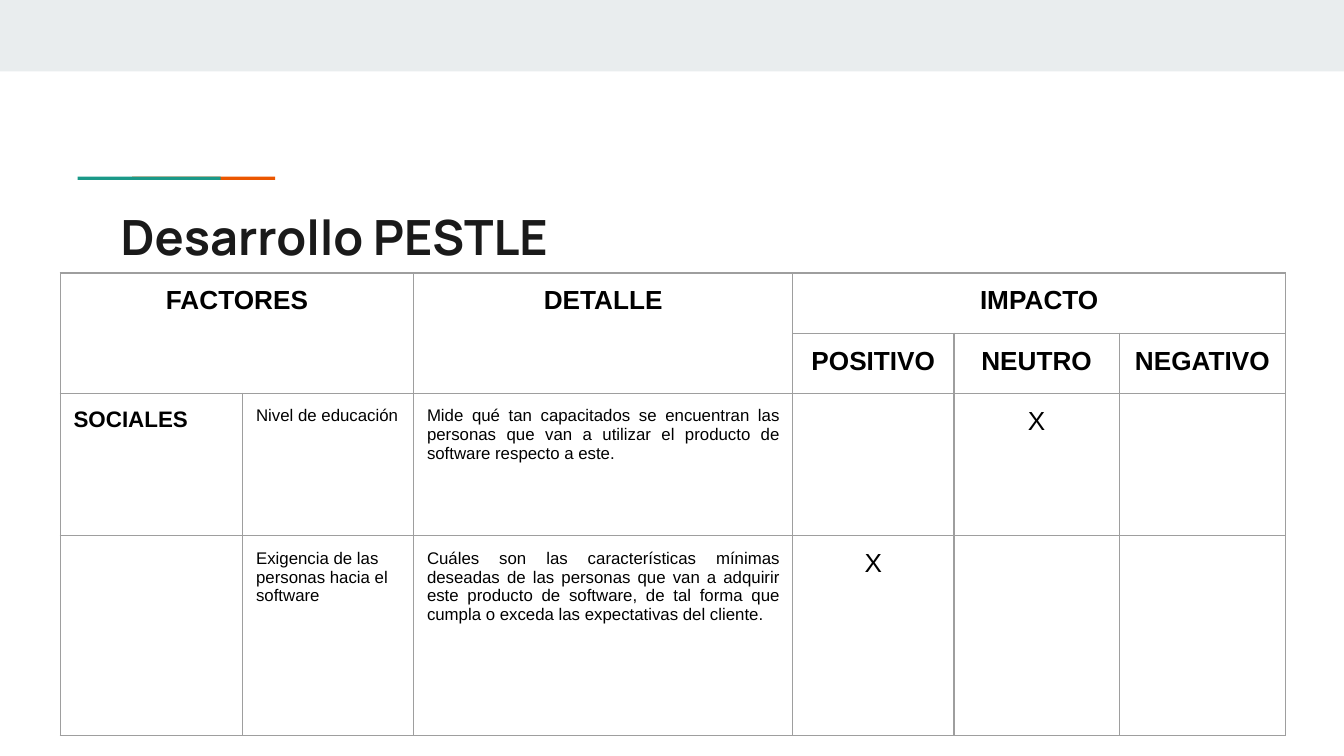
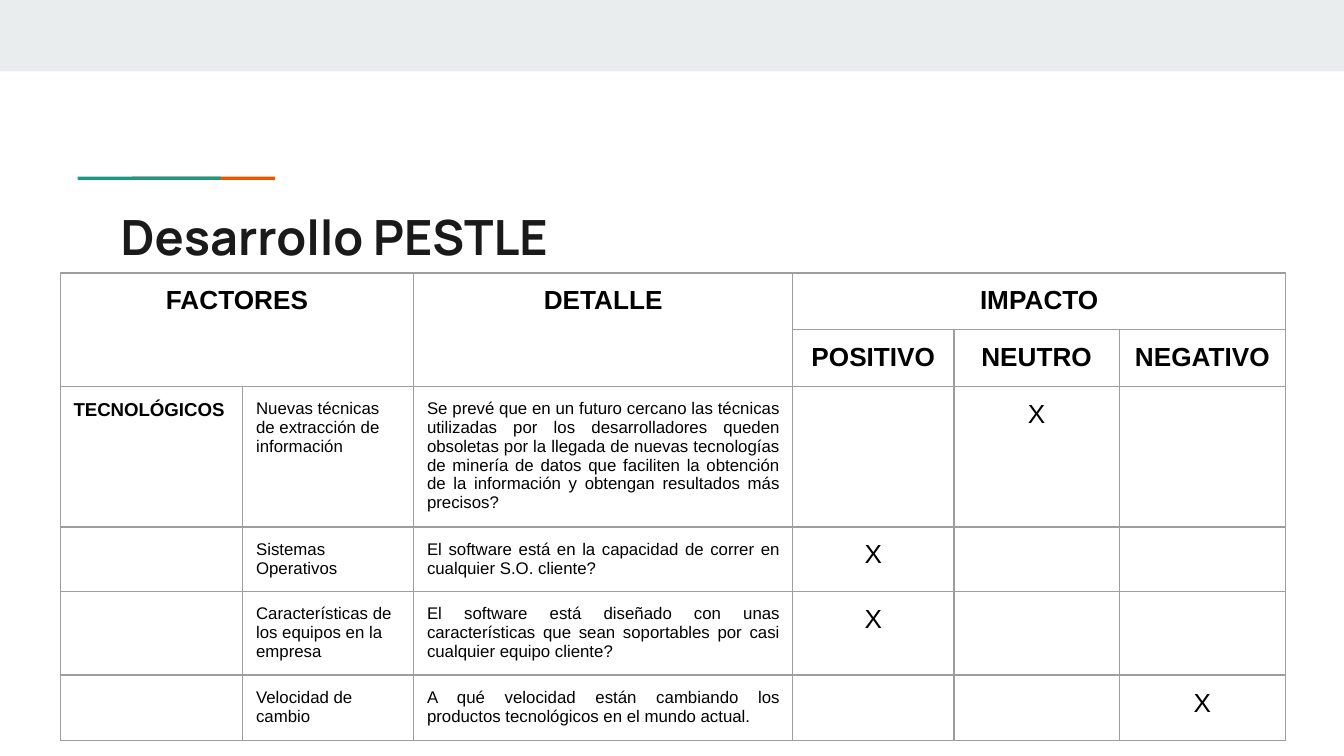
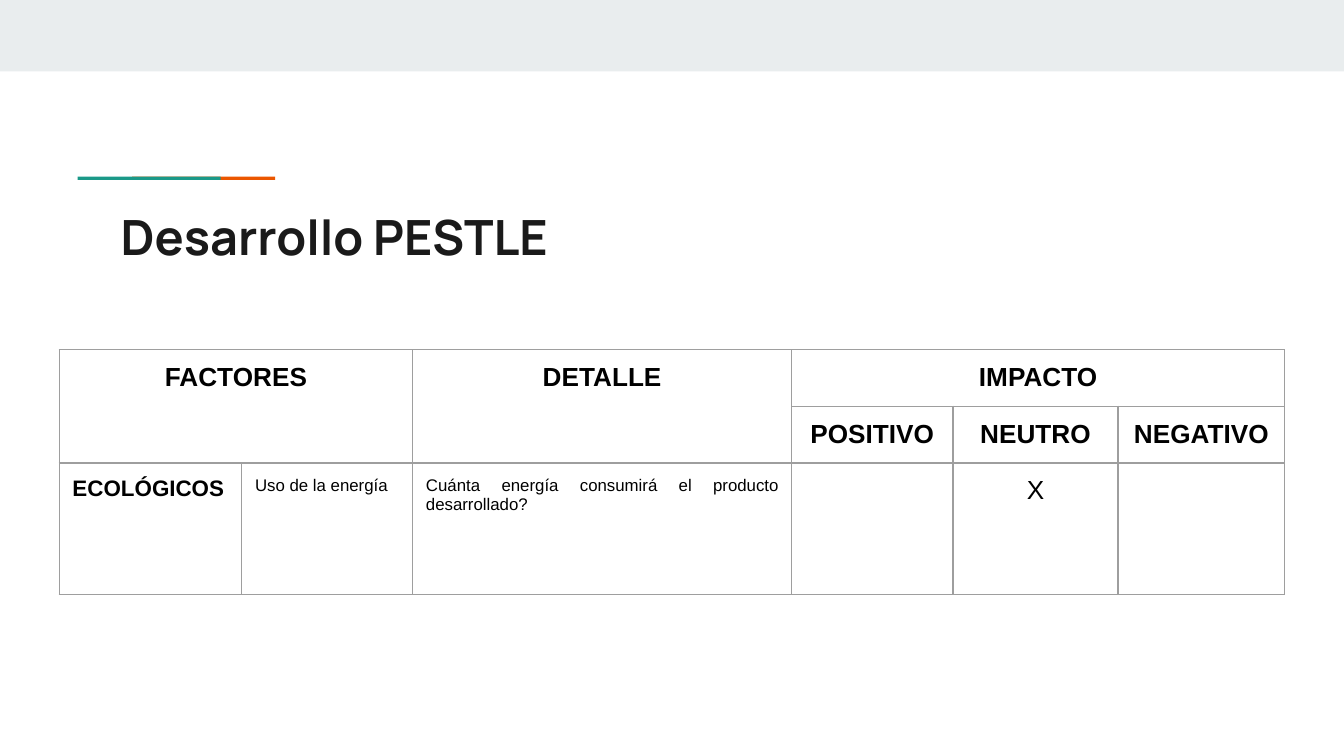
from lxml import etree
from pptx import Presentation
from pptx import util as u
from pptx.dml.color import RGBColor
from pptx.enum import shapes, text
from pptx.oxml.ns import qn

COLORS = {"band": "E9EDEE", "orange": "EB5600", "teal": "1A9988",
          "title": "1A1A1A", "text": "000000", "border": "9E9E9E"}
LEFT, CENTER, JUSTIFY = text.PP_ALIGN.LEFT, text.PP_ALIGN.CENTER, text.PP_ALIGN.JUSTIFY
INSET = u.Cm(0.25)

# Left, top, width, height and colour of the bars on every slide, in cm
BARS = [(0, 0, 25.4, 1.35, "band"),
        (2.5, 3.34, 2.7, 0.06, "orange"),
        (1.47, 3.34, 2.7, 0.06, "teal")]

COLS = [3.45, 3.23, 7.16, 3.05, 3.12, 3.15]

# Row, column, last row, last column and text of the header cells
HEADER = [(0, 0, 1, 1, "FACTORES"), (0, 2, 1, 2, "DETALLE"), (0, 3, 0, 5, "IMPACTO"),
          (1, 3, 1, 3, "POSITIVO"), (1, 4, 1, 4, "NEUTRO"), (1, 5, 1, 5, "NEGATIVO")]
POSITIVO, NEUTRO, NEGATIVO = 3, 4, 5

# One entry per slide; each factor gives its name, detail and impact column
SLIDES = [
    {"group": "SOCIALES", "size": 12, "at": (1.14, 5.16), "rows": [1.14, 1.14, 2.69, 3.78],
     "factors": [
         ("Nivel de educación",
          "Mide qué tan capacitados se encuentran las personas que van a utilizar "
          "el producto de software respecto a este.", NEUTRO),
         ("Exigencia de las personas hacia el software",
          "Cuáles son las características mínimas deseadas de las personas que van a "
          "adquirir este producto de software, de tal forma que cumpla o exceda las "
          "expectativas del cliente.", POSITIVO)]},
    {"group": "TECNOLÓGICOS", "size": 10, "at": (1.14, 5.16),
     "rows": [1.07, 1.07, 2.66, 1.22, 1.58, 1.24],
     "factors": [
         ("Nuevas técnicas de extracción de información",
          "Se prevé que en un futuro cercano las técnicas utilizadas por los "
          "desarrolladores queden obsoletas por la llegada de nuevas tecnologías de "
          "minería de datos que faciliten la obtención de la información y obtengan "
          "resultados más precisos?", NEUTRO),
         ("Sistemas Operativos",
          "El software está en la capacidad de correr en cualquier S.O. cliente?", POSITIVO),
         ("Características de los equipos en la empresa",
          "El software está diseñado con unas características que sean soportables "
          "por casi cualquier equipo cliente?", POSITIVO),
         ("Velocidad de cambio",
          "A qué velocidad están cambiando los productos tecnológicos en el mundo "
          "actual.", NEGATIVO)]},
    {"group": "ECOLÓGICOS", "size": 12, "at": (1.12, 6.61), "rows": [1.07, 1.07, 2.49],
     "factors": [
         ("Uso de la energía", "Cuánta energía consumirá el producto desarrollado?", NEUTRO)]},
]


def write(tf, content, size=9, bold=False, align=LEFT, font="Arial", color="text"):
    p = tf.paragraphs[0]
    p.alignment = align
    r = p.add_run()
    r.text = content
    r.font.size, r.font.bold, r.font.name = u.Pt(size), bold, font
    r.font.color.rgb = RGBColor.from_string(COLORS[color])


def format_cell(cell):
    cell.margin_left = cell.margin_right = cell.margin_top = cell.margin_bottom = INSET
    cell.fill.background()
    tc_pr = cell._tc.get_or_add_tcPr()
    for i, side in enumerate(("lnL", "lnR", "lnT", "lnB")):
        ln = etree.Element(qn("a:" + side), w=str(u.Pt(0.75)))
        fill = etree.SubElement(ln, qn("a:solidFill"))
        etree.SubElement(fill, qn("a:srgbClr"), val=COLORS["border"])
        tc_pr.insert(i, ln)
    # Small end mark, so that empty cells do not stretch their row
    etree.SubElement(cell.text_frame.paragraphs[0]._p, qn("a:endParaRPr"), sz="900")


prs = Presentation()
prs.slide_width, prs.slide_height = u.Cm(25.4), u.Cm(14.29)

for data in SLIDES:
    s = prs.slides.add_slide(prs.slide_layouts[5])

    # Top band and two-colour accent
    for x, y, w, h, color in BARS:
        sp = s.shapes.add_shape(shapes.MSO_SHAPE.RECTANGLE, u.Cm(x), u.Cm(y), u.Cm(w), u.Cm(h))
        sp.shadow.inherit = False
        sp.fill.solid()
        sp.fill.fore_color.rgb = RGBColor.from_string(COLORS[color])
        sp.line.fill.background()

    # Title
    title = s.shapes.title
    title.left, title.top, title.width, title.height = u.Cm(2.03), u.Cm(3.66), u.Cm(21.36), u.Cm(1.5)
    tf = title.text_frame
    tf.margin_left = tf.margin_right = tf.margin_top = tf.margin_bottom = INSET
    tf.vertical_anchor = text.MSO_ANCHOR.TOP
    tf.auto_size = text.MSO_AUTO_SIZE.NONE
    write(tf, "Desarrollo PESTLE", size=26, bold=True, font="Manrope", color="title")

    # Table grid
    x, y = data["at"]
    rows = data["rows"]
    table = s.shapes.add_table(len(rows), len(COLS), u.Cm(x), u.Cm(y),
                               u.Cm(sum(COLS)), u.Cm(sum(rows))).table
    table.first_row = table.horz_banding = False
    for col, width in zip(table.columns, COLS):
        col.width = u.Cm(width)
    for row, height in zip(table.rows, rows):
        row.height = u.Cm(height)
    for cell in table.iter_cells():
        format_cell(cell)

    # Header
    for top, left, bottom, right, label in HEADER:
        cell = table.cell(top, left)
        if (top, left) != (bottom, right):
            cell.merge(table.cell(bottom, right))
        write(cell.text_frame, label, size=14, bold=True, align=CENTER)

    # Factors
    write(table.cell(2, 0).text_frame, data["group"], size=data["size"], bold=True)
    for i, (factor, detail, impact) in enumerate(data["factors"], start=2):
        write(table.cell(i, 1).text_frame, factor)
        write(table.cell(i, 2).text_frame, detail, align=JUSTIFY)
        write(table.cell(i, impact).text_frame, "X", size=14, align=CENTER)

prs.save("out.pptx")
